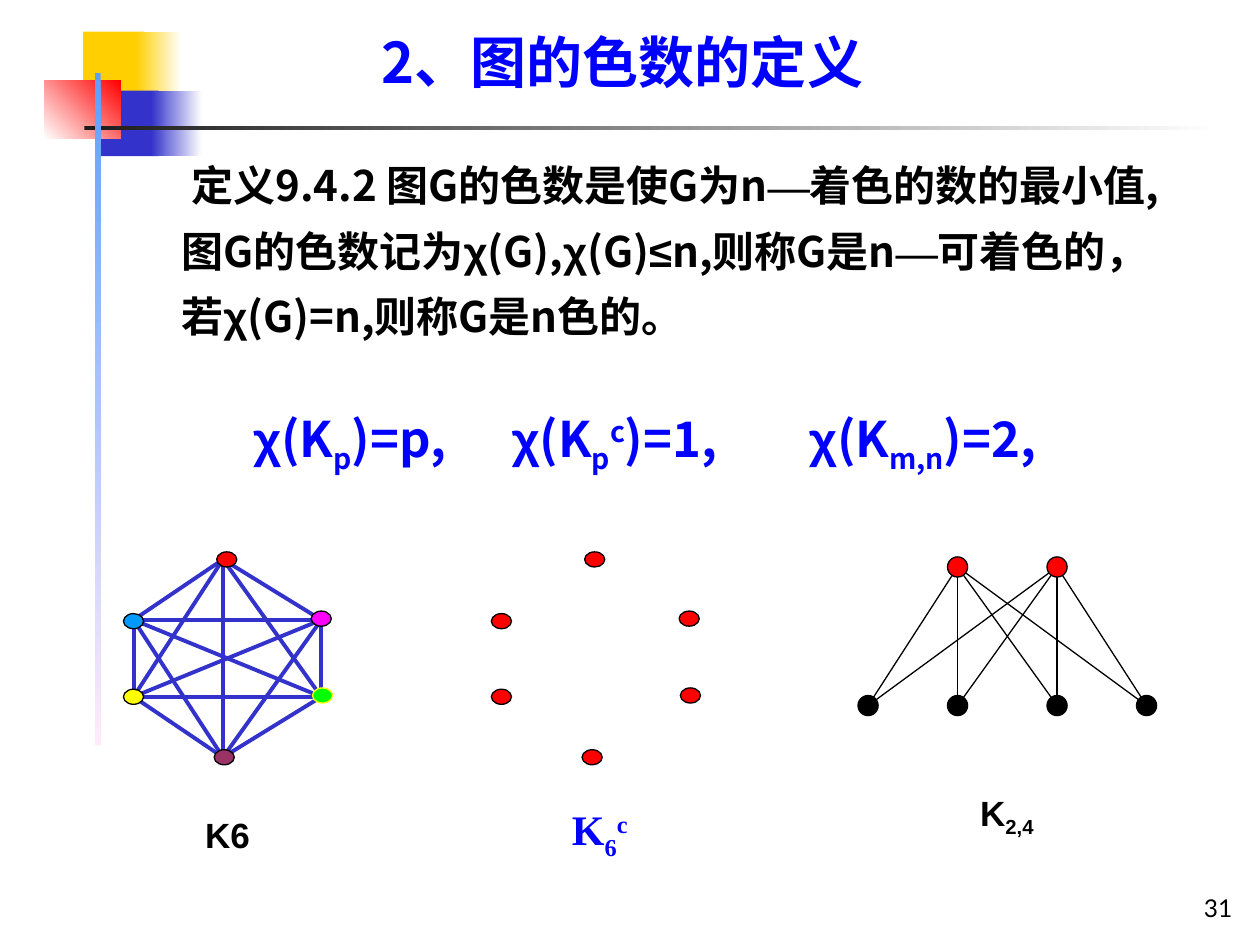
import dataclasses
import itertools

import pptx
import pptx.dml.color
import pptx.enum.shapes
import pptx.enum.text
import pptx.oxml.ns
import pptx.util

COLUMNS, ROWS = 100, 75
SUB, SUPER = -25, 30


@dataclasses.dataclass(frozen=True)
class Theme:
    cjk: str = "Noto Sans CJK SC"
    sans: str = "Arial"
    serif: str = "Times New Roman"
    number: str = "Lato"
    title_size: int = 32
    formula_size: int = 28
    body_size: int = 24
    label_size: int = 20
    number_size: int = 14
    thin: float = 0.75
    thick: float = 2.25
    black: str = "000000"
    white: str = "FFFFFF"
    blue: str = "0000FF"
    red: str = "FF0000"
    yellow: str = "FFFF00"
    gold: str = "FFCF01"
    indigo: str = "3333CC"
    charcoal: str = "1C1C1C"
    sky: str = "5E9EFF"
    blush: str = "FFEBFA"
    azure: str = "0099FF"
    magenta: str = "FF00FF"
    lime: str = "00FF00"
    plum: str = "993366"


THEME = Theme()
# Corners of the six-vertex graph, in columns and rows from its box
HEXAGON_DOTS = [(8.2, 0.6), (0.8, 5.5), (15.7, 5.3),
                (0.8, 11.5), (15.8, 11.4), (8, 16.3)]
HEXAGON_EDGE_ENDS = [(7.9, 0.6), (0.8, 5.4), (15.7, 5.4),
                     (0.8, 11.5), (15.7, 11.5), (7.9, 16.3)]


def grid(*cells):
    """Turn column and row counts, all of 0.1 inch, into lengths."""
    return [pptx.util.Inches(10 * cell / COLUMNS) for cell in cells]


def rgb(colour):
    return pptx.dml.color.RGBColor.from_string(colour)


def add_block(slide, box, start, end=None, angle=0):
    """Add a borderless rectangle; with an end colour it becomes a gradient."""
    block = slide.shapes.add_shape(
        pptx.enum.shapes.MSO_SHAPE.RECTANGLE, *grid(*box))
    block.shadow.inherit = False
    block.line.fill.background()
    if end is None:
        block.fill.solid()
        block.fill.fore_color.rgb = rgb(start)
        return
    block.fill.gradient()
    block.fill.gradient_angle = angle
    for stop, colour in zip(block.fill.gradient_stops, (start, end)):
        stop.color.rgb = rgb(colour)


def add_dot(slide, centre, size, colour, outline=THEME.black):
    x, y = centre
    width, height = size
    dot = slide.shapes.add_shape(
        pptx.enum.shapes.MSO_SHAPE.OVAL,
        *grid(x - width / 2, y - height / 2, width, height))
    dot.shadow.inherit = False
    dot.fill.solid()
    dot.fill.fore_color.rgb = rgb(colour)
    dot.line.color.rgb = rgb(outline)
    dot.line.width = pptx.util.Pt(THEME.thin)


def add_edge(slide, start, end, colour, width):
    edge = slide.shapes.add_connector(
        pptx.enum.shapes.MSO_CONNECTOR.STRAIGHT, *grid(*start, *end))
    edge.line.color.rgb = rgb(colour)
    edge.line.width = pptx.util.Pt(width)
    properties = edge._element.spPr
    properties.append(properties.makeelement(
        pptx.oxml.ns.qn("a:effectLst"), {}))


def add_text(slide, box, runs, size, colour=THEME.black, bold=True,
             inset=(0, 0), spacing=None):
    """Add one paragraph of (text, font, baseline shift) runs; return it."""
    frame = slide.shapes.add_textbox(*grid(*box)).text_frame
    frame.word_wrap = True
    frame.margin_left = frame.margin_right = grid(inset[0])[0]
    frame.margin_top = frame.margin_bottom = grid(inset[1])[0]
    paragraph = frame.paragraphs[0]
    paragraph.line_spacing = spacing
    for text, font, shift in runs:
        run = paragraph.add_run()
        run.text = text
        run.font.name = font
        run.font.size = pptx.util.Pt(size)
        run.font.bold = bold
        run.font.color.rgb = rgb(colour)
        properties = run.font._element
        latin = properties.find(pptx.oxml.ns.qn("a:latin"))
        latin.addnext(properties.makeelement(
            pptx.oxml.ns.qn("a:ea"), {"typeface": font}))
        if shift:
            properties.set("baseline", str(shift * 1000))
    return paragraph


def add_decoration(slide, box):
    left, top = box
    for (x, y, width, height), *paint in [
        ((3.1, 0, 4.8, 5.2), THEME.gold),
        ((7.3, 0, 3.6, 5.2), THEME.gold, THEME.white),
        ((4.5, 4.7, 4.6, 5.2), THEME.indigo),
        ((8.5, 4.7, 4, 5.2), THEME.indigo, THEME.white),
        ((0, 3.9, 6.1, 4.6), THEME.white, THEME.red, 45),
        ((3.2, 7.5, 90, 0.3), THEME.charcoal, THEME.white),
        ((4, 3.3, 0.5, 53.3), THEME.sky, THEME.blush, 270),
    ]:
        add_block(slide, (left + x, top + y, width, height), *paint)


def add_title(slide, box):
    add_text(slide, box, [("2、图的色数的定义", THEME.cjk, 0)],
             THEME.title_size, THEME.blue, spacing=0.9)


def add_definition(slide, box):
    cjk, sans, serif = THEME.cjk, THEME.sans, THEME.serif
    parts = [("定义9.4.2 图G的色数是使G为n", cjk), ("—", serif),
             ("着色的数的最小值,图G的色数记为", cjk), ("χ", sans),
             ("(G),", cjk), ("χ", sans), ("(G)", cjk), ("≤", sans),
             ("n,则称G是n", cjk), ("—", serif), ("可着色的，若", cjk),
             ("χ", sans), ("(G)=n,则称G是n色的。", cjk)]
    paragraph = add_text(slide, box, [(*part, 0) for part in parts],
                         THEME.body_size, spacing=1.3)
    margin, first_line = grid(3.8, 0.8)
    properties = paragraph._p.get_or_add_pPr()
    properties.set("marL", str(margin))
    properties.set("indent", str(first_line))


def add_formulas(slide, box):
    left, top, height = box
    for x, width, indices, value in [
        (0, 16.5, [("p", SUB)], "p"),
        (20.5, 18.9, [("p", SUB), ("c", SUPER)], "1"),
        (44.1, 18.9, [("m,n", SUB)], "2"),
    ]:
        tail = [("(K", 0), *indices, (f")={value},", 0)]
        runs = [("χ", THEME.sans, 0)]
        runs += [(text, THEME.cjk, shift) for text, shift in tail]
        add_text(slide, (left + x, top, width, height), runs,
                 THEME.formula_size, THEME.blue, spacing=0.9)


def add_label(slide, box, runs, font, size, colour=THEME.black):
    add_text(slide, box, [(text, font, shift) for text, shift in runs],
             size, colour, inset=(1, 0.5))


def add_six_vertices(slide, box, fills, outlines, complete):
    """Place six dots, with every pair joined when the graph is complete."""
    left, top = box
    if complete:
        ends = [(left + x, top + y) for x, y in HEXAGON_EDGE_ENDS]
        for start, end in itertools.combinations(ends, 2):
            add_edge(slide, start, end, THEME.indigo, THEME.thick)
    for (x, y), fill, outline in zip(HEXAGON_DOTS, fills, outlines):
        add_dot(slide, (left + x, top + y), (1.6, 1.2), fill, outline)


def add_bipartite_graph(slide, box):
    left, top, height = box
    lower = [(left + x, top + height) for x in (0, 7.1, 15, 22.1)]
    upper = [(x, top) for x, _ in lower[1:3]]
    for start, end in itertools.product(upper, lower):
        add_edge(slide, start, end, THEME.black, THEME.thin)
    for row, colour in ((lower, THEME.black), (upper, THEME.red)):
        for centre in row:
            add_dot(slide, centre, (1.6, 1.6), colour)


def add_page_number(slide, box):
    number = add_text(slide, box, [("31", THEME.number, 0)],
                      THEME.number_size, bold=False, inset=(1, 0.5))
    number.alignment = pptx.enum.text.PP_ALIGN.RIGHT
    frame = slide.shapes[-1].text_frame
    frame.vertical_anchor = pptx.enum.text.MSO_ANCHOR.BOTTOM


def main():
    deck = pptx.Presentation()
    deck.slide_width, deck.slide_height = grid(COLUMNS, ROWS)
    slide = deck.slides.add_slide(deck.slide_layouts[6])
    add_decoration(slide, (3.5, 2.5))
    add_page_number(slide, (78, 68.7, 20.8, 5))
    add_definition(slide, (10.6, 11.5, 81.1, 15.6))
    add_formulas(slide, (20.1, 32.5, 4.8))
    add_title(slide, (30.3, 2.8, 40.2, 4.8))
    add_bipartite_graph(slide, (68.9, 45, 11))
    add_label(slide, (76.8, 62.3, 7.9, 4.8), [("K", 0), ("2,4", SUB)],
              THEME.sans, THEME.label_size)
    fills = [THEME.red, THEME.azure, THEME.magenta,
             THEME.yellow, THEME.lime, THEME.plum]
    outlines = [THEME.yellow if fill == THEME.lime else THEME.black
                for fill in fills]
    add_six_vertices(slide, (9.8, 43.8), fills, outlines, True)
    add_label(slide, (15.3, 64.1, 7.9, 4.4), [("K6", 0)],
              THEME.sans, THEME.label_size)
    add_six_vertices(slide, (39, 43.8), [THEME.red] * 6,
                     [THEME.black] * 6, False)
    add_label(slide, (44.4, 63.3, 7.9, 5.6),
              [("K", 0), ("6", SUB), ("c", SUPER)],
              THEME.serif, THEME.body_size, THEME.blue)
    deck.save("out.pptx")


if __name__ == "__main__":
    main()
